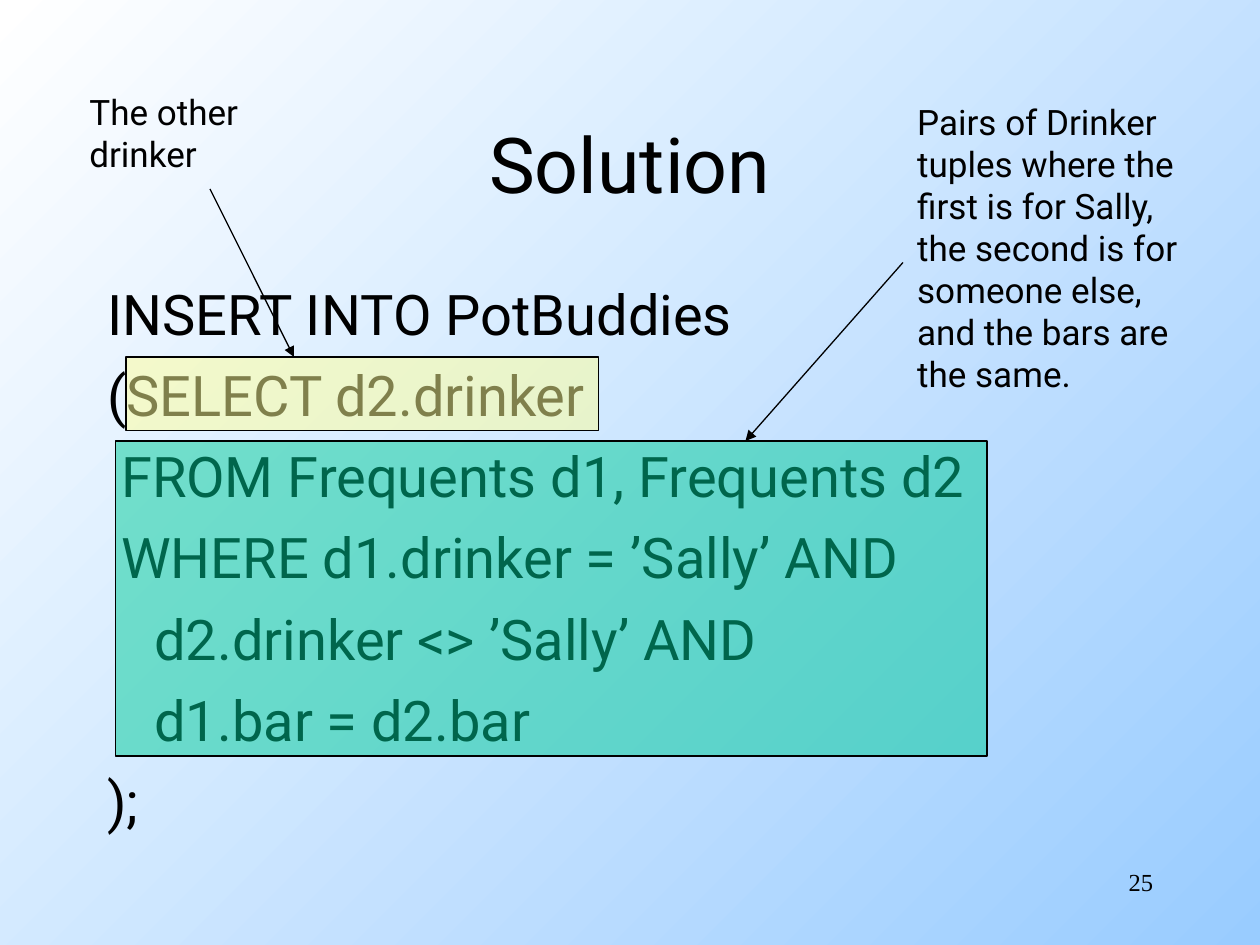
from lxml import etree
from pptx import Presentation
from pptx import util as u
from pptx.dml.color import RGBColor
from pptx.enum import shapes, text
from pptx.oxml import ns

BLACK = "000000"
FONT = "Roboto"
CODE = [
    ("INSERT INTO PotBuddies", 0),
    ("(SELECT d2.drinker", 0),
    ("FROM Frequents d1, Frequents d2", 8),
    ("WHERE d1.drinker = ’Sally’ AND", 8),
    ("d2.drinker <> ’Sally’ AND", 27),
    ("d1.bar = d2.bar", 27),
    (");", 0),
]


def rgb(value):
    """Return the colour for a hex string."""
    return RGBColor.from_string(value)


def sub(parent, tag, **attrs):
    """Append a DrawingML element to a parent."""
    return etree.SubElement(parent, ns.qn(tag), attrs)


def set_attrs(obj, fmt):
    """Set each attribute of a format dict on an object."""
    for name, value in fmt.items():
        setattr(obj, name, value)


def place(sp, box):
    """Move a shape to a box given in points."""
    names = ("left", "top", "width", "height")
    set_attrs(sp, {name: u.Pt(value) for name, value in zip(names, box)})


def write(tf, lines, size, font=FONT, **fmt):
    """Write one formatted paragraph per line and return the paragraphs."""
    for i, line in enumerate(lines):
        p = tf.paragraphs[0] if i == 0 else tf.add_paragraph()
        r = p.add_run()
        r.text = line
        set_attrs(r.font, {"name": font, "size": u.Pt(size)})
        r.font.color.rgb = rgb(BLACK)
        set_attrs(p, fmt)
    return tf.paragraphs


def add_background(s):
    """Fill the slide with a diagonal gradient."""
    fill = s.background.fill
    fill.gradient()
    fill.gradient_angle = 315
    for stop, color, position in zip(fill.gradient_stops, ("FFFFFF", "99CCFF"), (0, 1)):
        stop.color.rgb = rgb(color)
        stop.position = position


def add_title(s, box, title):
    """Fill the title placeholder."""
    sp = s.shapes.title
    place(sp, box)
    set_attrs(sp.text_frame, {"vertical_anchor": text.MSO_ANCHOR.MIDDLE,
                              "auto_size": text.MSO_AUTO_SIZE.NONE})
    write(sp.text_frame, [title], 44, alignment=text.PP_ALIGN.CENTER)


def add_code(s, box, code):
    """Fill the body placeholder with indented code lines."""
    sp = s.placeholders[1]
    place(sp, box)
    tf = sp.text_frame
    tf.auto_size = text.MSO_AUTO_SIZE.NONE
    lines, indents = zip(*code)
    paragraphs = write(tf, lines, 32, space_before=u.Pt(8))
    for p, indent in zip(paragraphs, indents):
        pPr = p._p.get_or_add_pPr()
        pPr.set("marL", str(u.Pt(indent)))
        pPr.set("indent", "0")
        sub(pPr, "a:buNone")


def add_highlight(s, box, color):
    """Lay a half-transparent outlined rectangle over a box."""
    sp = s.shapes.add_shape(shapes.MSO_SHAPE.RECTANGLE, *map(u.Pt, box))
    sp.shadow.inherit = False
    sp.fill.solid()
    sp.fill.fore_color.rgb = rgb(color)
    sub(sp._element.spPr.find(".//" + ns.qn("a:srgbClr")), "a:alpha", val="50000")
    sp.line.color.rgb = rgb(BLACK)
    sp.line.width = u.Pt(0.75)


def add_arrow(s, start, end):
    """Draw a thin arrow between two points."""
    sp = s.shapes.add_connector(shapes.MSO_CONNECTOR.STRAIGHT, *map(u.Pt, start + end))
    sp.line.color.rgb = rgb(BLACK)
    sp.line.width = u.Pt(0.75)
    sub(sp.line._get_or_add_ln(), "a:tailEnd", type="triangle")
    sub(sp._element.spPr, "a:effectLst")


def add_callout(s, box, lines, target, color, start, end):
    """Highlight a target box and explain it with a note and an arrow."""
    add_highlight(s, target, color)
    tf = s.shapes.add_textbox(*map(u.Pt, box)).text_frame
    set_attrs(tf, {"word_wrap": False, "auto_size": text.MSO_AUTO_SIZE.SHAPE_TO_FIT_TEXT})
    write(tf, lines, 20)
    add_arrow(s, start, end)


def add_number(s, box, number):
    """Write the slide number at the right of a box."""
    tf = s.shapes.add_textbox(*map(u.Pt, box)).text_frame
    tf.word_wrap = True
    write(tf, [number], 14, "Times New Roman", alignment=text.PP_ALIGN.RIGHT)


def main():
    """Build and save the slide."""
    prs = Presentation()
    set_attrs(prs, {"slide_width": u.Pt(720), "slide_height": u.Pt(540)})
    s = prs.slides.add_slide(prs.slide_layouts[1])
    add_background(s)
    add_number(s, (516, 492, 150, 36), "25")
    add_title(s, (54, 48, 612, 90), "Solution")
    add_code(s, (54, 156, 612, 324), CODE)
    add_callout(s, (517, 54, 173, 176),
                ["Pairs of Drinker", "tuples where the", "first is for Sally,",
                 "the second is for", "someone else,", "and the bars are", "the same."],
                (66, 252, 498, 180), "00CC99", (516, 150), (426, 252))
    add_callout(s, (44, 48, 106, 55), ["The other", "drinker"],
                (72, 204, 270, 42), "FFFF99", (120, 108), (168, 204))
    prs.save("out.pptx")


if __name__ == "__main__":
    main()
